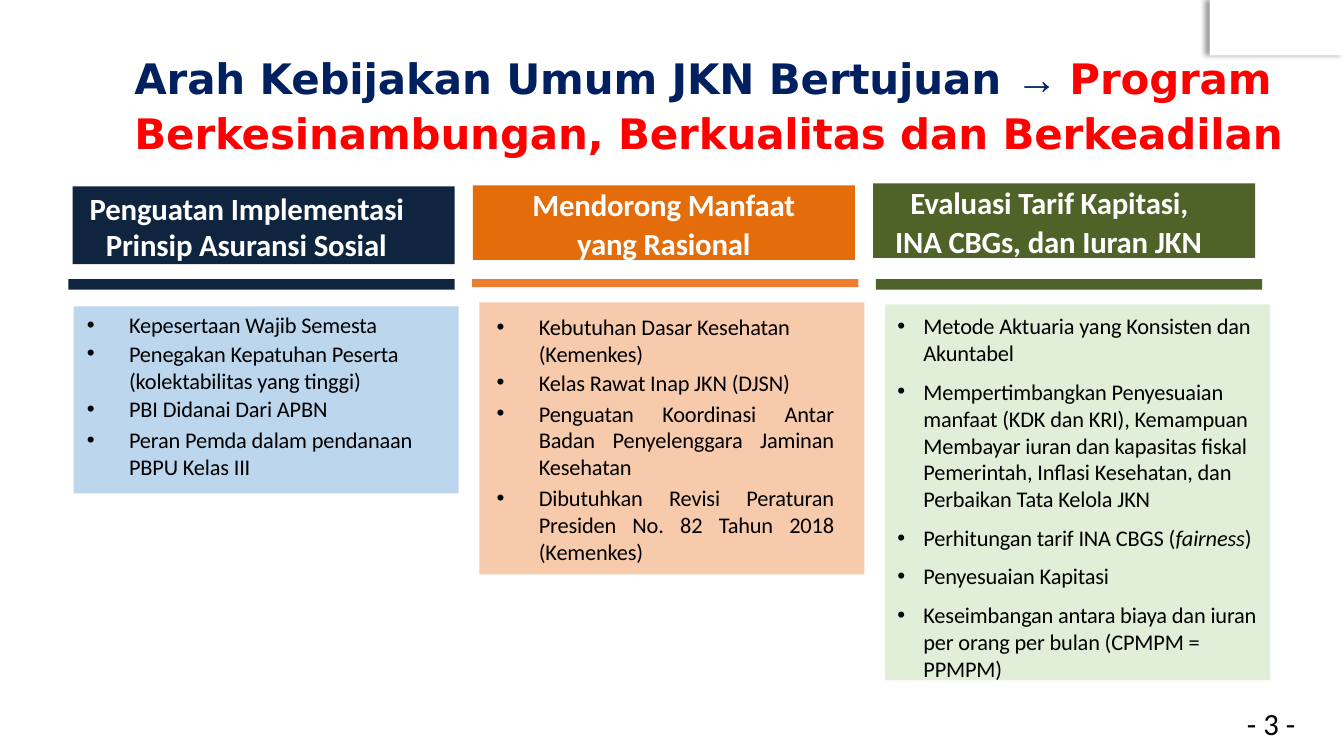
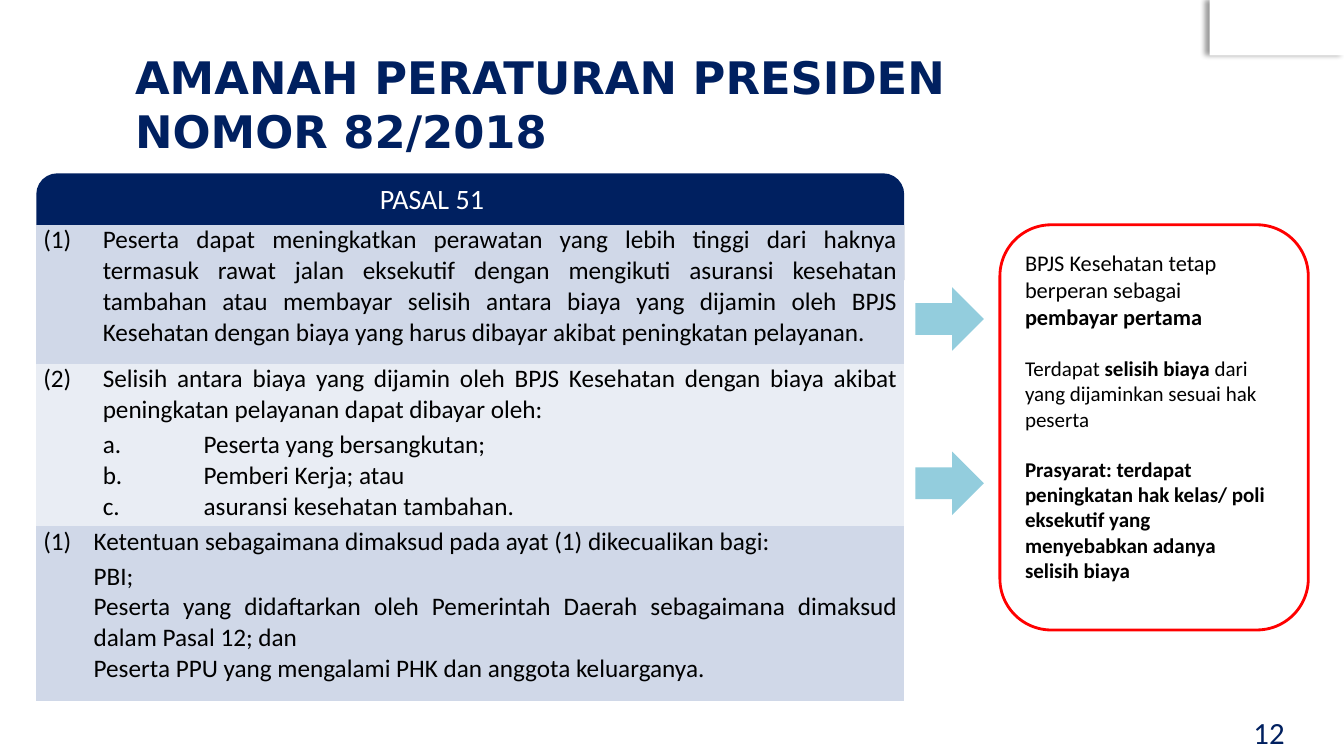
from dataclasses import dataclass

import pptx
import pptx.dml.color
import pptx.enum.shapes
import pptx.enum.text
import pptx.oxml
import pptx.oxml.ns
import pptx.util

Inches, Pt = pptx.util.Inches, pptx.util.Pt
Preset = pptx.enum.shapes.MSO_SHAPE
Align = pptx.enum.text.PP_ALIGN
Anchor = pptx.enum.text.MSO_ANCHOR

# Shared look
WIDTH, HEIGHT = Inches(13.333), Inches(7.5)
NAVY, RED, WHITE, BLACK = "002060", "FF0000", "FFFFFF", "000000"
TITLE_FONT, BODY_FONT = "DejaVu Sans", "Calibri"
NO_TABLE_STYLE = "{2D5ABB26-0587-4C30-8999-92F81FD0307C}"


@dataclass
class Area:
    """A rectangle in percent of the slide's width and height."""
    left: float
    top: float
    width: float
    height: float

    def box(self) -> tuple[int, int, int, int]:
        return (int(WIDTH * self.left / 100), int(HEIGHT * self.top / 100),
                int(WIDTH * self.width / 100), int(HEIGHT * self.height / 100))


@dataclass
class Span:
    text: str
    bold: bool = False
    italic: bool = False
    color: str = ""
    font: str = ""


@dataclass
class Style:
    size: float
    color: str = BLACK
    font: str = BODY_FONT
    bold: bool = False
    tracking: float = 0


@dataclass
class Para:
    spans: list[Span]
    align: Align = Align.LEFT
    left: float = 0
    hang: float = 0
    before: float = 0
    after: float = 0
    line: float = 0
    bullet: bool = False


@dataclass
class Column:
    """A heading, a bar and a panel of bullets."""
    dark: str
    bar: str
    light: str
    heading: list[Para]
    heading_top: float
    heading_height: float
    heading_inset: float
    bar_height: float
    panel_top: float
    panel_height: float
    insets: tuple[float, float, float, float]
    bullets: list[Para]


# Helpers
def rgb(value: str) -> pptx.dml.color.RGBColor:
    return pptx.dml.color.RGBColor.from_string(value)


def write(frame, paras: list[Para], style: Style) -> None:
    for index, para in enumerate(paras):
        paragraph = frame.add_paragraph() if index else frame.paragraphs[0]
        paragraph.alignment = para.align
        paragraph.space_before, paragraph.space_after = Pt(para.before), Pt(para.after)
        if para.line:
            paragraph.line_spacing = Pt(para.line)
        properties = paragraph._p.get_or_add_pPr()
        properties.set("marL", str(Inches(para.left)))
        properties.set("indent", str(Inches(-para.hang)))
        if para.bullet:
            for tag, key, value in (("buFont", "typeface", "Arial"), ("buChar", "char", "•")):
                bullet = pptx.oxml.parse_xml(f'<a:{tag} {pptx.oxml.ns.nsdecls("a")} {key}="{value}"/>')
                properties.append(bullet)
        for span in para.spans:
            run = paragraph.add_run()
            run.text = span.text
            run.font.name = span.font or style.font
            run.font.size = Pt(style.size)
            run.font.bold = style.bold or span.bold
            run.font.italic = span.italic
            run.font.color.rgb = rgb(span.color or style.color)
            if style.tracking:
                run.font._element.set("spc", str(round(style.tracking * 100)))


def set_frame(frame, insets=(0, 0, 0, 0), anchor=Anchor.TOP, wrap=True) -> None:
    frame.auto_size = pptx.enum.text.MSO_AUTO_SIZE.NONE
    frame.word_wrap = wrap
    frame.vertical_anchor = anchor
    (frame.margin_left, frame.margin_top,
     frame.margin_right, frame.margin_bottom) = map(Inches, insets)


def add_block(slide, area: Area, fill: str = "", line: str = "", preset=Preset.RECTANGLE):
    shape = slide.shapes.add_shape(preset, *area.box())
    shape.shadow.inherit = False
    if fill:
        shape.fill.solid()
        shape.fill.fore_color.rgb = rgb(fill)
    else:
        shape.fill.background()
    if line:
        shape.line.color.rgb = rgb(line)
        shape.line.width = Pt(2)
    else:
        shape.line.fill.background()
    return shape


def add_text(slide, area: Area, paras: list[Para], style: Style,
             insets=(0.1, 0.05, 0.1, 0.05), wrap=True) -> None:
    frame = slide.shapes.add_textbox(*area.box()).text_frame
    set_frame(frame, insets, wrap=wrap)
    write(frame, paras, style)


def start_slide(presentation, area: Area, title: Para, size: float, top_inset: float,
                number: Para, number_color: str):
    """Title-only slide with the corner tab, title and page number."""
    slide = presentation.slides.add_slide(presentation.slide_layouts[5])
    corner = add_block(slide, Area(90, 0, 10, 7.33), WHITE)
    effects = corner.element.spPr.find(pptx.oxml.ns.qn("a:effectLst"))
    effects.append(pptx.oxml.parse_xml(
        f'<a:outerShdw {pptx.oxml.ns.nsdecls("a")} blurRad="{Pt(4)}" dist="{Pt(3)}" dir="10800000">'
        f'<a:srgbClr val="{BLACK}"><a:alpha val="40000"/></a:srgbClr></a:outerShdw>'))
    heading = slide.shapes.title
    heading.left, heading.top, heading.width, heading.height = area.box()
    set_frame(heading.text_frame, (0, top_inset, 0, 0), Anchor.MIDDLE)
    write(heading.text_frame, [title], Style(size, NAVY, TITLE_FONT, True, -0.1 if title.line else 0))
    add_text(slide, Area(91.35, 94.4, 6.15, 3.87), [number], Style(22, number_color), (0, 0, 0, 0))
    return slide


# Slide 1: three policy columns
def bullet(*spans: str | Span, indent=0.42, before=1.1, align=Align.LEFT) -> Para:
    parts = [Span(part) if isinstance(part, str) else part for part in spans]
    return Para(parts, align, indent, indent, before, line=19.2, bullet=True)


COLUMNS = [
    Column("0F243E", "0F243E", "BCD6ED",
           [Para([Span("Penguatan Implementasi Prinsip Asuransi Sosial")],
                 left=0.33, hang=0.16, line=25.9)],
           24.67, 10.27, 0.04, 1.4, 40.53, 24.73, (0.13, 0.05, 0.03, 0),
           [bullet("Kepesertaan Wajib Semesta", before=0),
            bullet("Penegakan Kepatuhan Peserta (kolektabilitas yang tinggi)"),
            bullet("PBI Didanai Dari APBN"),
            bullet("Peran Pemda dalam pendanaan PBPU Kelas III", before=2.9)]),
    Column("E46C0A", "EC7C30", "F8CAAC",
           [Para([Span("Mendorong Manfaat")], Align.CENTER, line=26.8),
            Para([Span("yang Rasional")], Align.CENTER, line=27.4)],
           24.53, 9.87, 0, 1.07, 40, 36, (0.17, 0.11, 0.3, 0),
           [bullet("Kebutuhan Dasar Kesehatan (Kemenkes)", before=0),
            bullet("Kelas Rawat Inap JKN (DJSN)"),
            bullet("Penguatan Koordinasi Antar Badan Penyelenggara Jaminan Kesehatan",
                   before=2.9, align=Align.JUSTIFY),
            bullet("Dibutuhkan Revisi Peraturan Presiden No. 82 Tahun 2018 (Kemenkes)",
                   before=2.9, align=Align.JUSTIFY)]),
    Column("4F6228", "4F6228", "E1EFD9",
           [Para([Span("Evaluasi Tarif Kapitasi,")], left=0.37, line=26.8),
            Para([Span("INA CBGs, dan Iuran JKN")], left=0.22, line=27.4)],
           24.27, 9.87, 0, 1.4, 40.27, 49.73, (0.12, 0.08, 0.1, 0),
           [bullet("Metode Aktuaria yang Konsisten dan Akuntabel", indent=0.26, before=0),
            bullet("Mempertimbangkan Penyesuaian manfaat (KDK dan KRI), Kemampuan Membayar iuran "
                   "dan kapasitas fiskal Pemerintah, Inflasi Kesehatan, dan Perbaikan Tata Kelola JKN",
                   indent=0.26, before=8.4),
            bullet("Perhitungan tarif INA CBGS (", Span("fairness", italic=True), ")",
                   indent=0.26, before=8.4),
            bullet("Penyesuaian Kapitasi", indent=0.26, before=8.4),
            bullet("Keseimbangan antara biaya dan iuran per orang per bulan (CPMPM = PPMPM)",
                   indent=0.26, before=8.4)]),
]


def build_policy(presentation) -> None:
    title = Para([Span("Arah Kebijakan Umum JKN Bertujuan "), Span("→ ", font="Arial"),
                  Span("Program Berkesinambungan, Berkualitas dan Berkeadilan", color=RED)], line=38.9)
    number = Para([Span("- 3 -")], Align.CENTER, left=0.04, line=20.1)
    slide = start_slide(presentation, Area(10, 5.6, 87.5, 15.07), title, 30, 0.08, number, BLACK)
    for index, column in enumerate(COLUMNS):
        add_block(slide, Area(5.1 + 30.04 * index, 36.93, 28.73, column.bar_height), column.bar)
        panel = add_block(slide, Area(5.48 + 30.19 * index, column.panel_top, 28.65,
                                      column.panel_height), column.light)
        set_frame(panel.text_frame, column.insets)
        write(panel.text_frame, column.bullets, Style(16, tracking=-0.1))
        heading = add_block(slide, Area(5.4 + 29.78 * index, column.heading_top, 28.43,
                                        column.heading_height), column.dark)
        set_frame(heading.text_frame, (0, column.heading_inset, 0, 0))
        write(heading.text_frame, column.heading, Style(22, WHITE, bold=True, tracking=-0.1))


# Slide 2: article text and remarks
def clause(text: str, left=0.59, hang=0.0, before=0.0, after=0.0) -> Para:
    return Para([Span(text)], Align.JUSTIFY, left, hang, before, after)


ARTICLE_ROWS = [
    (18.4, "D0D8E8", [
        clause("(1)\tPeserta dapat meningkatkan perawatan yang lebih tinggi dari haknya termasuk rawat "
               "jalan eksekutif dengan mengikuti asuransi kesehatan tambahan atau membayar selisih antara "
               "biaya yang dijamin oleh BPJS Kesehatan dengan biaya yang harus dibayar akibat peningkatan "
               "pelayanan.", hang=0.59, after=3)]),
    (21.47, "E9EDF4", [
        clause("(2)\tSelisih antara biaya yang dijamin oleh BPJS Kesehatan dengan biaya akibat "
               "peningkatan pelayanan dapat dibayar oleh:", hang=0.59, after=3),
        *(clause(item, 1.59, 1) for item in ("a.\tPeserta yang bersangkutan;", "b.\tPemberi Kerja; atau",
                                             "c.\tasuransi kesehatan tambahan."))]),
    (23.07, "D0D8E8", [
        clause("(1)\tKetentuan sebagaimana dimaksud pada ayat (1) dikecualikan bagi:", 0.5, 0.5, after=3),
        *(clause(item, 0.5) for item in (
            "PBI;",
            "Peserta yang didaftarkan oleh Pemerintah Daerah sebagaimana dimaksud dalam Pasal 12; dan",
            "Peserta PPU yang mengalami PHK dan anggota keluarganya."))]),
]


def add_article(slide, left: float, top: float, width: float) -> None:
    area = Area(left, top, width, sum(row[0] for row in ARTICLE_ROWS))
    frame = slide.shapes.add_table(len(ARTICLE_ROWS), 1, *area.box())
    table = frame.table
    table.first_row = table.horz_banding = False
    next(frame.element.iter(pptx.oxml.ns.qn("a:tableStyleId"))).text = NO_TABLE_STYLE
    for index, (height, fill, paras) in enumerate(ARTICLE_ROWS):
        table.rows[index].height = int(HEIGHT * height / 100)
        cell = table.cell(index, 0)
        cell.fill.solid()
        cell.fill.fore_color.rgb = rgb(fill)
        cell.margin_left = cell.margin_right = Inches(0.07)
        cell.margin_top = cell.margin_bottom = 0
        write(cell.text_frame, paras, Style(18))


def build_mandate(presentation) -> None:
    title = Para([Span("AMANAH PERATURAN PRESIDEN NOMOR 82/2018")])
    number = Para([Span("12")], Align.CENTER)
    slide = start_slide(presentation, Area(10.05, 6.8, 72.6, 13.73), title, 32, 0, number, NAVY)
    add_block(slide, Area(2.7, 22.93, 64.58, 16.67), NAVY, preset=Preset.ROUNDED_RECTANGLE)
    add_article(slide, 2.7, 29.73, 64.58)
    add_text(slide, Area(27.53, 23.33, 9.38, 5.87), [Para([Span("PASAL 51")])],
             Style(20, WHITE), wrap=False)

    # Remarks and the arrows that lead to them
    add_block(slide, Area(74.4, 29.73, 22.95, 53.6), line=RED, preset=Preset.ROUNDED_RECTANGLE)
    add_text(slide, Area(75.53, 32.27, 19.5, 12.13),
             [Para([Span("BPJS Kesehatan tetap berperan sebagai "), Span("pembayar pertama", bold=True)])],
             Style(16))
    add_text(slide, Area(75.53, 46.4, 19.5, 31.6),
             [Para([Span("Terdapat "), Span("selisih biaya ", bold=True),
                    Span("dari yang dijaminkan sesuai hak peserta")]),
              Para([Span("Prasyarat: terdapat peningkatan hak kelas/ poli eksekutif yang menyebabkan "
                         "adanya selisih biaya", bold=True)], before=18)], Style(15))
    for top in (38, 59.73):
        add_block(slide, Area(68.1, top, 5.1, 8.4), "93CDDD", preset=Preset.RIGHT_ARROW)


def main() -> None:
    presentation = pptx.Presentation()
    presentation.slide_width, presentation.slide_height = WIDTH, HEIGHT
    build_policy(presentation)
    build_mandate(presentation)
    presentation.save("out.pptx")


if __name__ == "__main__":
    main()
